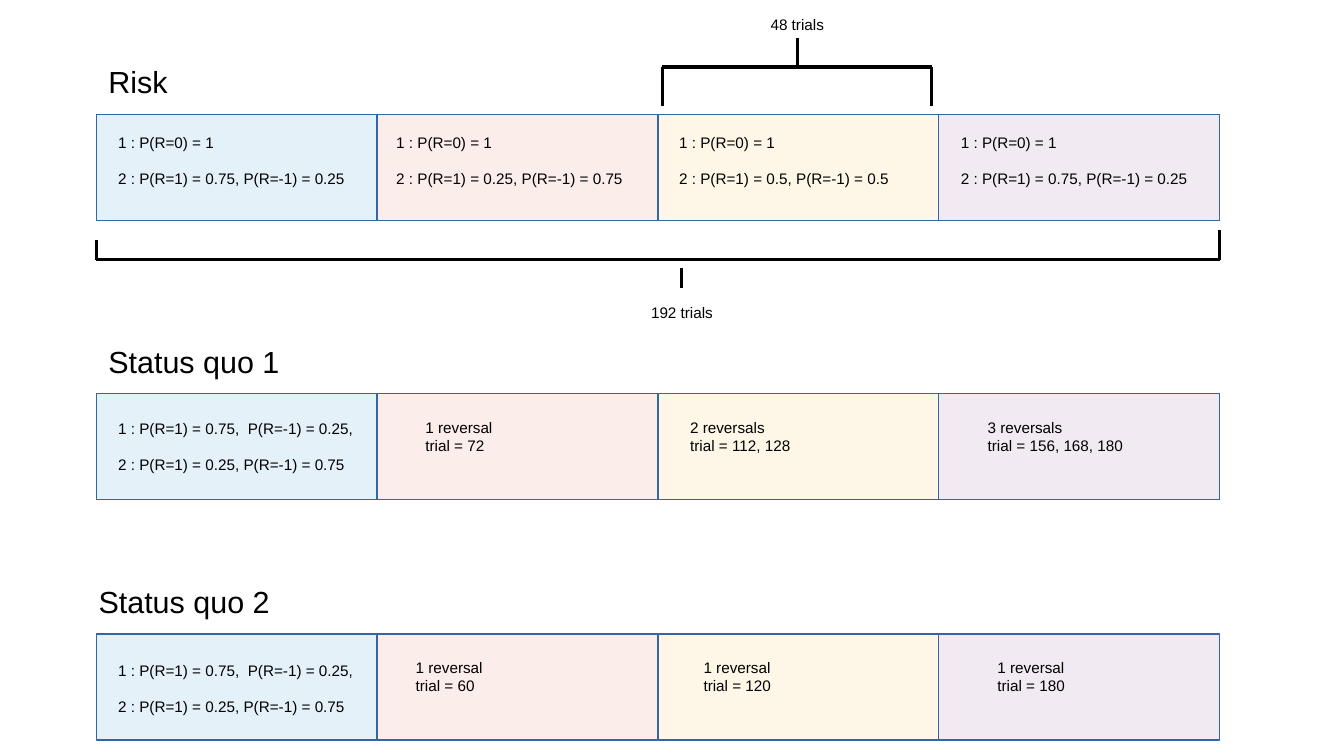
from pptx import Presentation
from pptx import util as u
from pptx.dml.color import RGBColor
from pptx.enum import shapes, text
from pptx.oxml.ns import qn
from lxml import etree

BLACK = RGBColor(0x00, 0x00, 0x00)
BORDER = RGBColor(0x34, 0x65, 0xA4)
BLOCK_COLOURS = [
    RGBColor(0xE4, 0xF1, 0xF9),
    RGBColor(0xFB, 0xED, 0xEA),
    RGBColor(0xFE, 0xF7, 0xE7),
    RGBColor(0xF1, 0xEA, 0xF2),
]

BAND_LEFT, BAND_WIDTH, BAND_HEIGHT = 0.79, 9.21, 0.87
BLOCK_WIDTH = BAND_WIDTH / len(BLOCK_COLOURS)
HEADING_RISE = 0.47

HEADING = {"size": u.Pt(18), "name": "Arial"}
BODY = {"size": u.Pt(9), "name": "Arial"}
FRAME = {
    "word_wrap": True,
    "auto_size": text.MSO_AUTO_SIZE.SHAPE_TO_FIT_TEXT,
    "margin_left": u.Inches(0.1),
    "margin_right": u.Inches(0.1),
    "margin_top": u.Inches(0.05),
    "margin_bottom": u.Inches(0.05),
}
OPTION_GAP = u.Pt(10.5)

SAFE = "1 : P(R=0) = 1"
STATUS_QUO = (0.87, ["1 : P(R=1) = 0.75,  P(R=-1) = 0.25,",
                     "2 : P(R=1) = 0.25, P(R=-1) = 0.75"])

CONDITIONS = [
    {"heading": "Risk", "heading_left": 0.79, "top": 0.94, "option_drop": 0.1,
     "options": [
         (0.87, [SAFE, "2 : P(R=1) = 0.75, P(R=-1) = 0.25"]),
         (3.15, [SAFE, "2 : P(R=1) = 0.25, P(R=-1) = 0.75"]),
         (5.47, [SAFE, "2 : P(R=1) = 0.5, P(R=-1) = 0.5"]),
         (7.78, [SAFE, "2 : P(R=1) = 0.75, P(R=-1) = 0.25"]),
     ],
     "reversals": []},
    {"heading": "Status quo 1", "heading_left": 0.79, "top": 3.23, "option_drop": 0.16,
     "options": [STATUS_QUO],
     "reversals": [
         (3.39, ["1 reversal", "trial = 72"]),
         (5.56, ["2 reversals", "trial = 112, 128"]),
         (8.0, ["3 reversals", "trial = 156, 168, 180"]),
     ]},
    {"heading": "Status quo 2", "heading_left": 0.71, "top": 5.2, "option_drop": 0.17,
     "options": [STATUS_QUO],
     "reversals": [
         (3.31, ["1 reversal", "trial = 60"]),
         (5.67, ["1 reversal", "trial = 120"]),
         (8.08, ["1 reversal", "trial = 180"]),
     ]},
]


def apply(target, values):
    for name, value in values.items():
        setattr(target, name, value)


def add_label(slide, left, top, width, height, lines, font=BODY, gap=0):
    box = slide.shapes.add_textbox(*map(u.Inches, (left, top, width, height)))
    frame = box.text_frame
    apply(frame, FRAME)
    for index, line in enumerate(lines):
        paragraph = frame.add_paragraph() if index else frame.paragraphs[0]
        paragraph.text = line
        paragraph.space_before = gap if index else 0
        apply(paragraph.font, font)
        paragraph.font.color.rgb = BLACK


def add_band(slide, top):
    group = slide.shapes.add_group_shape()
    for column, colour in enumerate(BLOCK_COLOURS):
        block = group.shapes.add_shape(
            shapes.MSO_SHAPE.RECTANGLE,
            u.Inches(BAND_LEFT + column * BLOCK_WIDTH), u.Inches(top),
            u.Inches(BLOCK_WIDTH), u.Inches(BAND_HEIGHT))
        block.shadow.inherit = False
        block.fill.solid()
        block.fill.fore_color.rgb = colour
        block.line.color.rgb = BORDER
        block.line.width = u.Pt(0)


def add_path(slide, points):
    for start, end in zip(points, points[1:]):
        connector = slide.shapes.add_connector(
            shapes.MSO_CONNECTOR.STRAIGHT, *map(u.Inches, start + end))
        connector.line.color.rgb = BLACK
        connector.line.width = u.Pt(0)
        etree.SubElement(connector._element.spPr, qn("a:effectLst"))


def add_condition(slide, condition):
    top = condition["top"]
    add_band(slide, top)
    add_label(slide, condition["heading_left"], top - HEADING_RISE, 2.68, 0.38,
              [condition["heading"]], HEADING)
    for left, lines in condition["options"]:
        add_label(slide, left, top + condition["option_drop"], 2.22, 0.62,
                  lines, gap=OPTION_GAP)
    for left, lines in condition["reversals"]:
        add_label(slide, left, top + 0.15, 1.92, 0.55, lines)


def main():
    presentation = Presentation()
    presentation.slide_width = u.Inches(11.02)
    presentation.slide_height = u.Inches(6.2)
    slide = presentation.slides.add_slide(presentation.slide_layouts[6])

    for condition in CONDITIONS:
        add_condition(slide, condition)

    band_right = BAND_LEFT + BAND_WIDTH
    add_path(slide, [(BAND_LEFT, 1.97), (BAND_LEFT, 2.13),
                     (band_right, 2.13), (band_right, 1.89)])
    add_path(slide, [(5.59, 2.2), (5.59, 2.36)])
    add_label(slide, 5.24, 2.44, 0.87, 0.24, ["192 trials"])

    add_path(slide, [(5.43, 0.87), (5.43, 0.55), (7.64, 0.55), (7.64, 0.87)])
    add_path(slide, [(6.54, 0.55), (6.54, 0.31)])
    add_label(slide, 6.22, 0.08, 1.1, 0.24, ["48 trials"])

    presentation.save("out.pptx")


if __name__ == "__main__":
    main()
